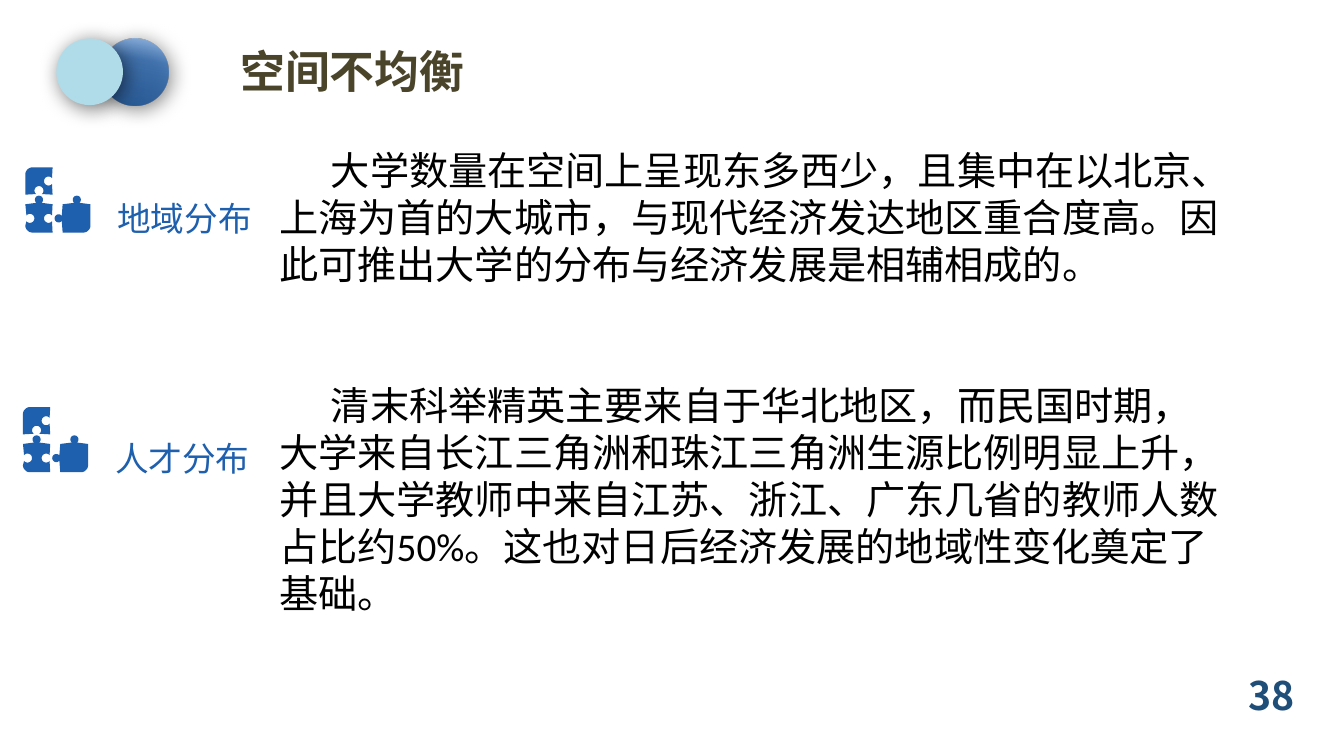
import math
from dataclasses import dataclass

import lxml.etree
import pptx
import pptx.dml.color
import pptx.enum.shapes
import pptx.enum.text
import pptx.oxml.ns
import pptx.util
from pptx.util import Cm

COLORS = {
    "title": "4A452A",
    "accent": "1E5FAE",
    "pale": "B0DCEA",
    "text": "000000",
    "number": "1F4E79",
}
GRADIENT_STOPS = [(0, "8FB4E1", 90), (33, "306BB2", 81), (100, "275791", 100)]
BODY = [
    "大学数量在空间上呈现东多西少，且集中在以北京、上海为首的大城市，与现代经济发达地区重合度高。因此可推出大学的分布与经济发展是相辅相成的。",
    "清末科举精英主要来自于华北地区，而民国时期，大学来自长江三角洲和珠江三角洲生源比例明显上升，并且大学教师中来自江苏、浙江、广东几省的教师人数占比约50%。这也对日后经济发展的地域性变化奠定了基础。",
]
PUZZLE_SIDE = 645
CENTER = pptx.enum.text.PP_ALIGN.CENTER


@dataclass
class TextStyle:
    font: str
    size: int
    color: str
    bold: bool = False
    align: pptx.enum.text.PP_ALIGN | None = None
    wrap: bool = True


@dataclass
class Topic:
    label: str
    left: float
    top: float


TITLE = TextStyle("Noto Sans CJK SC", 32, "title", True, CENTER)
NUMBER = TextStyle("Noto Sans CJK SC", 28, "number", True, CENTER)
LABEL = TextStyle("TeX Gyre Adventor", 24, "accent", wrap=False)
BODY_STYLE = TextStyle("Calibri", 28, "text")
TOPICS = [Topic("人才分布", 0.58, 10.26), Topic("地域分布", 0.64, 4.22)]


def rgb(name: str) -> pptx.dml.color.RGBColor:
    return pptx.dml.color.RGBColor.from_string(COLORS[name])


def add_xml(parent, tag: str, **attributes):
    element = lxml.etree.SubElement(parent, pptx.oxml.ns.qn(tag))
    for key, value in attributes.items():
        element.set(key, str(value))
    return element


def add_color(parent, color: str, opacity: int) -> None:
    add_xml(add_xml(parent, "a:srgbClr", val=color), "a:alpha", val=opacity * 1000)


def add_text(slide, lines: list[str], left: float, top: float, width: float,
             height: float, style: TextStyle):
    frame = slide.shapes.add_textbox(Cm(left), Cm(top), Cm(width), Cm(height)).text_frame
    frame.word_wrap = style.wrap
    frame.text = "\n".join(lines)
    for paragraph in frame.paragraphs:
        paragraph.alignment = style.align
        font = paragraph.font
        font.name, font.bold = style.font, style.bold
        font.size = pptx.util.Pt(style.size)
        font.color.rgb = rgb(style.color)
    return frame


def add_disc(slide, left: float):
    """Draw one of the two shadowed discs beside the title."""
    disc = slide.shapes.add_shape(
        pptx.enum.shapes.MSO_SHAPE.OVAL, Cm(left), Cm(0.97), Cm(1.68), Cm(1.68))
    disc.line.fill.background()
    disc.shadow.inherit = False
    effects = disc.element.spPr.find(pptx.oxml.ns.qn("a:effectLst"))
    shadow = add_xml(effects, "a:outerShdw", blurRad=pptx.util.Pt(15),
                     dist=pptx.util.Pt(3), dir=45 * 60000, rotWithShape=0)
    add_color(shadow, COLORS["text"], 55)
    return disc


def fill_gradient(shape) -> None:
    shape.fill.gradient()
    shape.fill.gradient_angle = 260
    stops = shape.element.spPr.find(".//" + pptx.oxml.ns.qn("a:gsLst"))
    for stop in list(stops):
        stops.remove(stop)
    for position, color, opacity in GRADIENT_STOPS:
        add_color(add_xml(stops, "a:gs", pos=position * 1000), color, opacity)


def arc(x: float, y: float, radius: float, start: int, end: int) -> list[tuple[float, float]]:
    angles = [math.radians(start + (end - start) * step / 16) for step in range(17)]
    return [(x + radius * math.cos(angle), y + radius * math.sin(angle)) for angle in angles]


def knob(x: float, y: float, facing: int) -> list[tuple[float, float]]:
    return arc(x, y, 40, facing - 140, facing + 140)


def socket(x: float, y: float, facing: int) -> list[tuple[float, float]]:
    return arc(x, y, 45, facing + 140, facing - 140)


def puzzle_pieces() -> list[list[tuple[float, float]]]:
    """Trace the three pieces clockwise on a grid of PUZZLE_SIDE units."""
    near, far, side = 270, 365, PUZZLE_SIDE
    middle, lower_middle, radius = 135, 505, 70
    top_left = [*arc(radius, radius, radius, 180, 270), (near, 0),
                *socket(230, middle, 180), (near, near),
                *socket(middle, 230, 270), (0, near)]
    bottom_left = [(0, far), *knob(middle, 320, 270), (near, far),
                   *socket(230, lower_middle, 180), (near, side),
                   *arc(radius, side - radius, radius, 90, 180),
                   *socket(45, lower_middle, 0)]
    bottom_right = [(370, far), *knob(510, 320, 270), (side, far),
                    *arc(side - radius, side - radius, radius, 0, 90), (370, side),
                    *knob(330, lower_middle, 180)]
    return [top_left, bottom_left, bottom_right]


def add_topic(slide, topic: Topic) -> None:
    first, *others = puzzle_pieces()
    builder = slide.shapes.build_freeform(*first[0], scale=Cm(1.64) / PUZZLE_SIDE)
    builder.add_line_segments(first[1:])
    for piece in others:
        builder.move_to(*piece[0])
        builder.add_line_segments(piece[1:])
    puzzle = builder.convert_to_shape(Cm(topic.left), Cm(topic.top))
    puzzle.fill.solid()
    puzzle.fill.fore_color.rgb = rgb("accent")
    puzzle.line.fill.background()
    puzzle.shadow.inherit = False
    add_text(slide, [topic.label], topic.left + 2.07, topic.top + 0.65, 3.94, 1.27, LABEL)


def add_body(slide) -> None:
    frame = add_text(slide, BODY, 5.72, 3.58, 26.34, 13.23, BODY_STYLE)
    frame.margin_left, frame.margin_right = Cm(1.32), Cm(1.07)
    frame.margin_top, frame.margin_bottom = Cm(0.1), 0
    for paragraph in frame.paragraphs:
        paragraph._p.get_or_add_pPr().set("indent", str(Cm(1.3)))
    frame.paragraphs[1].space_before = pptx.util.Pt(67)


def main() -> None:
    presentation = pptx.Presentation()
    presentation.slide_width, presentation.slide_height = Cm(33.87), Cm(19.05)
    slide = presentation.slides.add_slide(presentation.slide_layouts[6])
    add_text(slide, ["空间不均衡"], 4.06, 0.97, 9.65, 1.63, TITLE)
    fill_gradient(add_disc(slide, 2.57))
    pale_disc = add_disc(slide, 1.42)
    pale_disc.fill.solid()
    pale_disc.fill.fore_color.rgb = rgb("pale")
    add_body(slide)
    for topic in TOPICS:
        add_topic(slide, topic)
    add_text(slide, ["38"], 30.22, 16.79, 3.64, 1.45, NUMBER)
    presentation.save("out.pptx")


if __name__ == "__main__":
    main()
